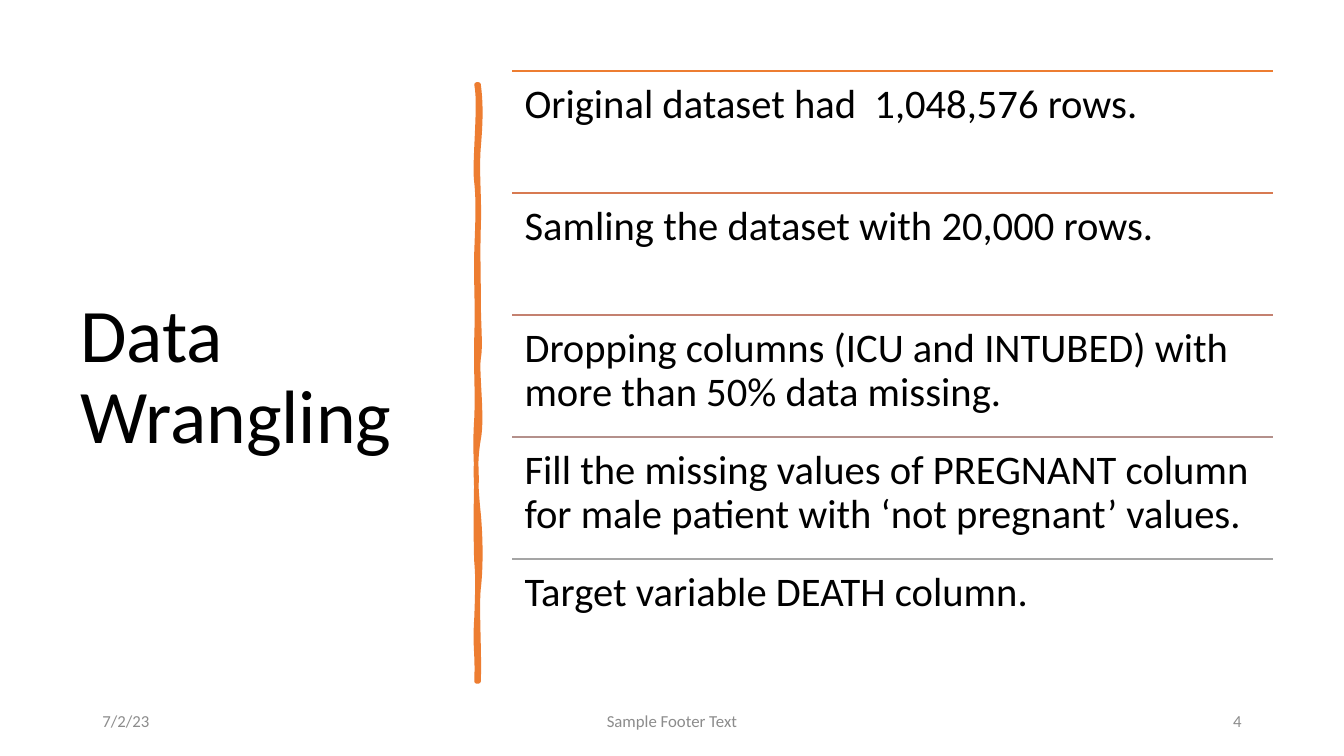
from lxml.etree import SubElement
from pptx import Presentation
from pptx.dml.color import RGBColor
from pptx.enum.shapes import MSO_CONNECTOR
from pptx.enum.text import MSO_ANCHOR, MSO_AUTO_SIZE, PP_ALIGN
from pptx.oxml.ns import qn
from pptx.util import Cm, Pt

FONT = "Calibri"
BLACK = RGBColor(0x00, 0x00, 0x00)
GREY = RGBColor(0x8C, 0x8C, 0x8C)
ORANGE = RGBColor(0xED, 0x7D, 0x31)

STEPS = [
    ("Original dataset had  1,048,576 rows.", ORANGE),
    ("Samling the dataset with 20,000 rows.", RGBColor(0xD8, 0x7A, 0x51)),
    ("Dropping columns (ICU and INTUBED) with more than 50% data missing.",
     RGBColor(0xC4, 0x81, 0x70)),
    ("Fill the missing values of PREGNANT column for male patient with "
     "‘not pregnant’ values.", RGBColor(0xB4, 0x90, 0x8B)),
    ("Target variable DEATH column.", RGBColor(0xA5, 0xA5, 0xA5)),
]
STEP_LEFT, STEP_TOP = Cm(12.91), Cm(1.79)
STEP_WIDTH, STEP_HEIGHT = Cm(19.18), Cm(15.37) // len(STEPS)

FOOTERS = [
    ("7/2/23", Cm(2.33), Cm(7.62), PP_ALIGN.LEFT),
    ("Sample Footer Text", Cm(11.22), Cm(11.43), PP_ALIGN.CENTER),
    ("4", Cm(23.92), Cm(7.62), PP_ALIGN.RIGHT),
]

STROKE_START = (12.06, 2.13)
STROKE_CURVES = [
    [(12.12, 2.59), (12.12, 3.02), (12.06, 3.71)],
    [(12.01, 4.39), (12.09, 4.95), (12.06, 5.74)],
    [(12.04, 6.53), (12.06, 6.65), (12.06, 7.47)],
    [(12.06, 8.26), (12.12, 8.69), (12.06, 9.04)],
    [(12.01, 9.4), (12.17, 10.52), (12.06, 11.07)],
    [(11.96, 11.63), (11.99, 12.29), (12.06, 12.95)],
    [(12.12, 13.61), (12.12, 14.33), (12.06, 14.83)],
    [(12.01, 15.32), (12.09, 16.51), (12.06, 17.17)],
    [(12.04, 17.17), (12.01, 17.17), (12.01, 17.17)],
    [(12.04, 16.41), (11.96, 16.36), (12.01, 15.57)],
    [(12.04, 14.81), (12.04, 14.48), (12.01, 14.15)],
    [(11.99, 13.82), (11.99, 12.57), (12.01, 12.12)],
    [(12.01, 11.66), (11.96, 11.3), (12.01, 10.54)],
    [(12.04, 9.8), (11.99, 9.47), (12.01, 8.51)],
    [(12.04, 7.57), (11.99, 7.14), (12.01, 6.35)],
    [(12.04, 5.54), (12.06, 5.08), (12.01, 4.6)],
    [(11.94, 4.14), (12.12, 2.64), (12.01, 2.13)],
]


def add_span(paragraph, text, size, color):
    """Add one formatted run to a paragraph."""
    span = paragraph.add_run()
    span.text = text
    span.font.name = FONT
    span.font.size = Pt(size)
    span.font.color.rgb = color


def add_title(page, text):
    """Place and fill the title placeholder."""
    title = page.shapes.title
    title.left, title.top = Cm(1.77), Cm(1.78)
    title.width, title.height = Cm(9.5), Cm(15.52)
    frame = title.text_frame
    frame.word_wrap = True
    frame.auto_size = MSO_AUTO_SIZE.NONE
    frame.vertical_anchor = MSO_ANCHOR.MIDDLE
    para = frame.paragraphs[0]
    para.alignment = PP_ALIGN.LEFT
    para.line_spacing = 0.9
    add_span(para, text, 54, BLACK)


def bend_segments(shape, curves):
    """Turn the straight segments of a freeform into cubic curves."""
    segments = list(shape._element.iter(qn("a:lnTo")))
    for segment, curve in zip(segments, curves):
        segment.tag = qn("a:cubicBezTo")
        segment.remove(segment[0])
        for x, y in curve:
            SubElement(segment, qn("a:pt"), x=str(Cm(x) - shape.left),
                       y=str(Cm(y) - shape.top))


def add_brush_stroke(page):
    """Draw the wavy upright divider."""
    builder = page.shapes.build_freeform(*map(Cm, STROKE_START))
    builder.add_line_segments([tuple(map(Cm, curve[-1])) for curve in STROKE_CURVES])
    stroke = builder.convert_to_shape()
    bend_segments(stroke, STROKE_CURVES)
    stroke.shadow.inherit = False
    stroke.fill.solid()
    stroke.fill.fore_color.rgb = ORANGE
    stroke.line.color.rgb = ORANGE
    stroke.line.width = Pt(3.25)


def add_rule(page, top, color):
    """Draw the thin line above a step."""
    rule = page.shapes.add_connector(
        MSO_CONNECTOR.STRAIGHT, STEP_LEFT, top, STEP_LEFT + STEP_WIDTH, top)
    rule.line.color.rgb = color
    rule.line.width = Pt(1)
    SubElement(rule._element.spPr, qn("a:effectLst"))


def add_step(page, top, text):
    """Write one wrangling step."""
    box = page.shapes.add_textbox(STEP_LEFT, top, STEP_WIDTH, STEP_HEIGHT)
    frame = box.text_frame
    frame.word_wrap = True
    frame.margin_left = frame.margin_right = Cm(0.31)
    frame.margin_top = frame.margin_bottom = Cm(0.31)
    para = frame.paragraphs[0]
    para.line_spacing = 0.9
    add_span(para, text, 29, BLACK)


def add_footer(page, text, left, width, alignment):
    """Write one part of the footer."""
    box = page.shapes.add_textbox(left, Cm(17.65), width, Cm(1.01))
    frame = box.text_frame
    frame.word_wrap = True
    frame.vertical_anchor = MSO_ANCHOR.MIDDLE
    para = frame.paragraphs[0]
    para.alignment = alignment
    para.space_after = Pt(6)
    add_span(para, text, 12, GREY)


def main():
    """Build and save the deck."""
    deck = Presentation()
    deck.slide_width, deck.slide_height = Cm(33.87), Cm(19.05)
    page = deck.slides.add_slide(deck.slide_layouts.get_by_name("Title Only"))
    add_title(page, "Data Wrangling")
    add_brush_stroke(page)
    for footer in FOOTERS:
        add_footer(page, *footer)
    for index, (text, color) in enumerate(STEPS):
        top = STEP_TOP + index * STEP_HEIGHT
        add_rule(page, top, color)
        add_step(page, top, text)
    deck.save("out.pptx")


if __name__ == "__main__":
    main()
